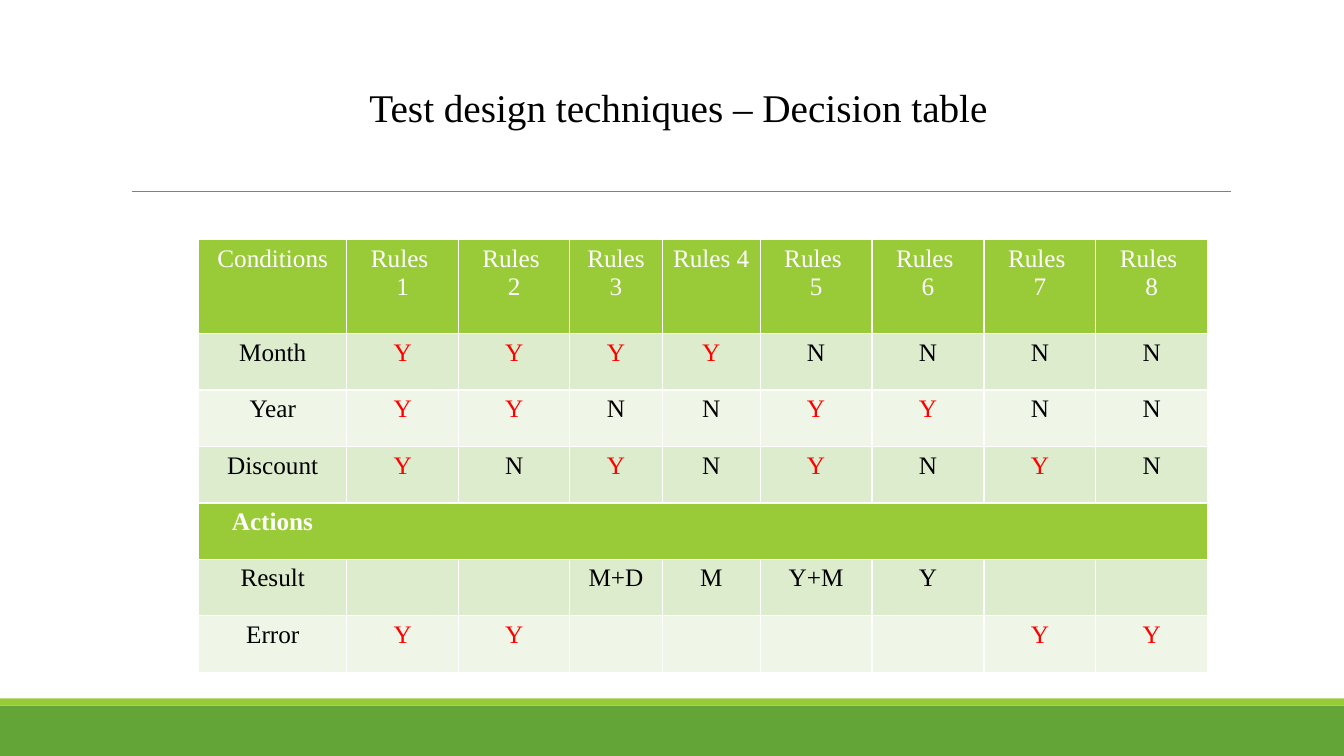
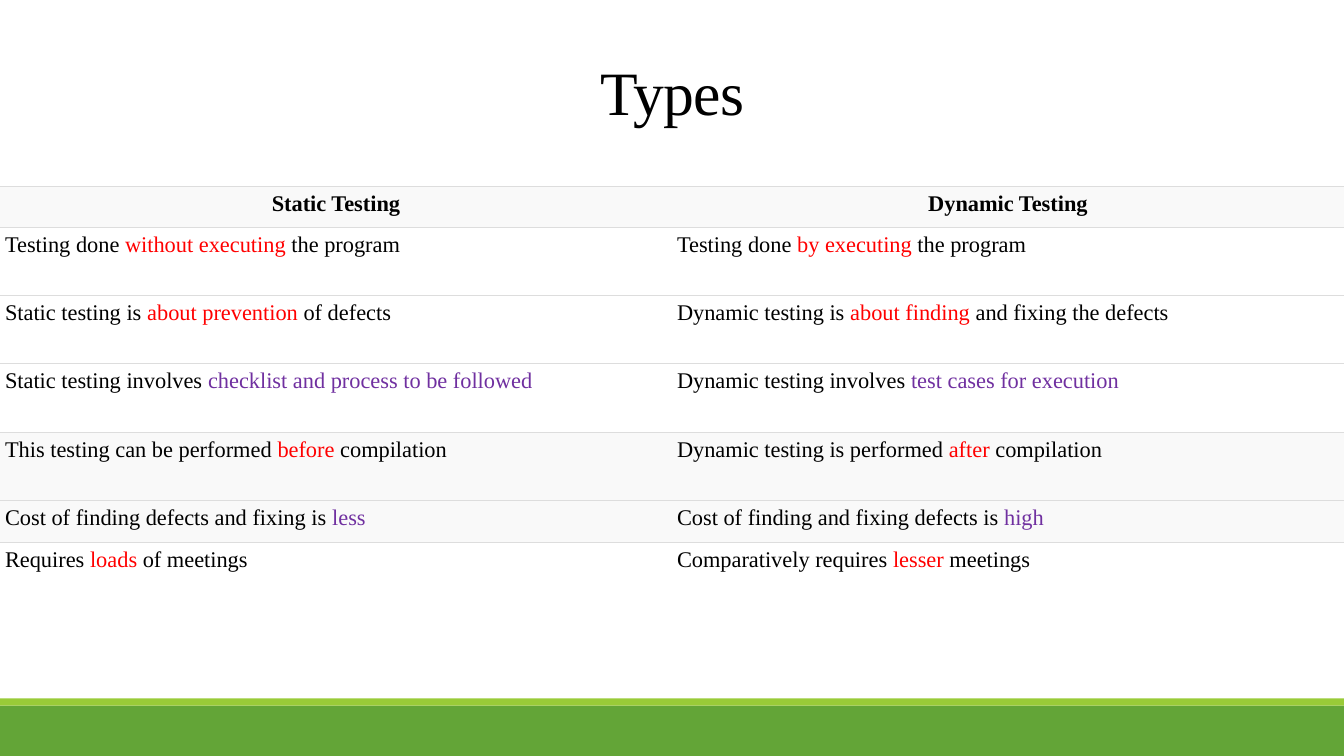
from dataclasses import dataclass

from lxml import etree
from pptx import Presentation
from pptx import util as u
from pptx.dml.color import RGBColor
from pptx.enum import shapes, text
from pptx.oxml import ns


@dataclass(frozen=True)
class Theme:
    font: str = "Times New Roman"
    ink: str = "000000"
    paper: str = "FFFFFF"
    red: str = "FF0000"
    purple: str = "7030A0"
    green: str = "63A537"
    lime: str = "99CB38"
    band_dark: str = "DEECCE"
    band_light: str = "EFF6E8"
    stripe: str = "F9F9F9"
    rule: str = "808080"
    border: str = "DDDDDD"
    title_size: int = 28
    large_title_size: int = 44
    rules_size: int = 18
    types_size: int = 16


THEME = Theme()
WIDTH, HEIGHT = 13.33, 7.5
CENTER = text.PP_ALIGN.CENTER


# Shared helpers
def inches(*lengths):
    return [u.Inches(length) for length in lengths]


def apply(target, values):
    for name, value in values.items():
        setattr(target, name, value)


def write(paragraph, words, size, color, bold=False):
    run = paragraph.add_run()
    run.text = words
    apply(run.font, {"name": THEME.font, "size": u.Pt(size), "bold": bold})
    run.font.color.rgb = RGBColor.from_string(color)
    return run


def set_borders(cell, borders):
    """Draw sides L, R, T, B; a side mapped to None gets no line."""
    properties = cell._tc.get_or_add_tcPr()
    for place, (side, style) in enumerate(borders.items()):
        color, points = style or (None, 0)
        line = etree.Element(ns.qn(f"a:ln{side}"), w=str(u.Pt(points)))
        if color:
            fill = etree.SubElement(line, ns.qn("a:solidFill"))
            etree.SubElement(fill, ns.qn("a:srgbClr"), val=color)
        else:
            etree.SubElement(line, ns.qn("a:noFill"))
        properties.insert(place, line)


def paint(cell, color):
    cell.fill.solid()
    cell.fill.fore_color.rgb = RGBColor.from_string(color)


def add_grid(slide, box, columns, rows):
    """Share the box out among column and row weights."""
    left, top, width, height = box
    table = slide.shapes.add_table(len(rows), len(columns), *inches(*box)).table
    apply(table, {"first_row": False, "horz_banding": False})
    for column, weight in zip(table.columns, columns):
        column.width = u.Inches(width * weight / sum(columns))
    for row, weight in zip(table.rows, rows):
        row.height = u.Inches(height * weight / sum(rows))
    return table


# Slide frame: footer bands and the rule under the title
def add_band(slide, box, color):
    band = slide.shapes.add_shape(shapes.MSO_SHAPE.RECTANGLE, *inches(*box))
    band.shadow.inherit = False
    band.fill.solid()
    band.fill.fore_color.rgb = RGBColor.from_string(color)
    band.line.fill.background()


def add_frame(slide):
    add_band(slide, (0, 7, WIDTH, 0.5), THEME.green)
    add_band(slide, (0, 6.93, WIDTH, 0.07), THEME.lime)
    rule = slide.shapes.add_connector(
        shapes.MSO_CONNECTOR.STRAIGHT, *inches(1.31, 1.9, 12.21, 1.9))
    rule.line.color.rgb = RGBColor.from_string(THEME.rule)
    rule.line.width = u.Pt(0.5)
    etree.SubElement(rule._element.spPr, ns.qn("a:effectLst"))


def add_title(slide, box, words, size, spacing=0):
    frame = slide.shapes.add_textbox(*inches(*box)).text_frame
    apply(frame, {"word_wrap": True,
                  "vertical_anchor": text.MSO_ANCHOR.MIDDLE})
    paragraph = frame.paragraphs[0]
    apply(paragraph, {"alignment": CENTER, "line_spacing": 0.9})
    run = write(paragraph, words, size, THEME.ink)
    if spacing:
        run.font._element.set("spc", str(int(spacing * 100)))


# Decision table
RULE_COLUMNS = [1.47, 1.11, 1.1, 0.92, 0.97, 1.11, 1.11, 1.11, 1.11]
RULE_ROWS = [0.93] + [0.56] * 6
RULE_HEADS = ["Conditions", "Rules \n1", "Rules \n2", "Rules 3", "Rules 4",
              "Rules \n5", "Rules \n6", "Rules \n7", "Rules \n8"]
DECISIONS = [
    ["Month", *"YYYYNNNN"],
    ["Year", *"YYNNYYNN"],
    ["Discount", *"YNYNYNYN"],
    ["Actions"] + [""] * 8,
    ["Result", "", "", "M+D", "M", "Y+M", "Y", "", ""],
    ["Error", "Y", "Y", "", "", "", "", "Y", "Y"],
]


def add_decision_table(slide, box):
    table = add_grid(slide, box, RULE_COLUMNS, RULE_ROWS)
    fills = [THEME.lime, THEME.band_dark, THEME.band_light, THEME.band_dark,
             THEME.lime, THEME.band_dark, THEME.band_light]
    for r, (entries, fill) in enumerate(zip([RULE_HEADS] + DECISIONS, fills)):
        is_section = entries[0] == "Actions"
        for c, entry in enumerate(entries):
            cell = table.cell(r, c)
            paint(cell, fill)
            set_borders(cell, dict.fromkeys("LRTB", (THEME.paper, 1)))
            if fill == THEME.lime:
                color = THEME.paper
            elif entry == "Y" and entries[0] != "Result":
                color = THEME.red
            else:
                color = THEME.ink
            for i, words in enumerate(entry.split("\n") if entry else []):
                frame = cell.text_frame
                paragraph = frame.add_paragraph() if i else frame.paragraphs[0]
                paragraph.alignment = text.PP_ALIGN.LEFT if is_section else CENTER
                write(paragraph, words, THEME.rules_size, color, is_section)
        if is_section:
            table.cell(r, 0).merge(table.cell(r, len(entries) - 1))
            table.cell(r, 0).margin_left = u.Inches(0.33)


# Comparison of testing types: each cell is before, highlight, after
TYPE_ROWS = [0.41, 0.67, 0.68, 0.68, 0.68, 0.41, 0.41]
TYPE_HEADS = ["Static Testing", "Dynamic Testing"]
COMPARISONS = [
    (THEME.red, ("Testing done ", "without executing", " the program"),
     ("Testing done ", "by executing", " the program")),
    (THEME.red, ("Static testing is ", "about prevention ", "of defects"),
     ("Dynamic testing is ", "about finding", " and fixing the defects")),
    (THEME.purple,
     ("Static testing involves ", "checklist and process to be followed"),
     ("Dynamic testing involves ", "test cases for execution")),
    (THEME.red, ("This testing can be performed ", "before", " compilation"),
     ("Dynamic testing is performed ", "after ", "compilation")),
    (THEME.purple, ("Cost of finding defects and fixing is ", "less"),
     ("Cost of finding and fixing defects is ", "high")),
    (THEME.red, ("Requires ", "loads", " of meetings"),
     ("Comparatively requires ", "lesser", " meetings")),
]


def add_types_table(slide, box):
    table = add_grid(slide, box, [1, 1], TYPE_ROWS)
    striped_rows = {0, 4, 5}
    last = len(TYPE_ROWS) - 1
    margins = dict.fromkeys(
        ["margin_left", "margin_top", "margin_right", "margin_bottom"],
        u.Inches(0.05))
    line = (THEME.border, 0.75)
    for r in range(len(TYPE_ROWS)):
        for c, head in enumerate(TYPE_HEADS):
            cell = table.cell(r, c)
            apply(cell, margins)
            paint(cell, THEME.stripe if r in striped_rows else THEME.paper)
            set_borders(cell, {"L": None, "R": None, "T": line,
                               "B": None if r == last else line})
            paragraph = cell.text_frame.paragraphs[0]
            if r == 0:
                paragraph.alignment = CENTER
                write(paragraph, head, THEME.types_size, THEME.ink, True)
                continue
            accent, *sides = COMPARISONS[r - 1]
            for words, color in zip(sides[c], (THEME.ink, accent, THEME.ink)):
                write(paragraph, words, THEME.types_size, color)


# Slides
def build_decision_slide(slide):
    add_title(slide, (2.95, 0.62, 7.56, 0.94),
              "Test design techniques – Decision table", THEME.title_size)
    add_decision_table(slide, (1.97, 2.38, 10.01, 4.29))


def build_types_slide(slide):
    add_types_table(slide, (0, 1.85, WIDTH, 3.94))
    add_title(slide, (0.92, 0.62, 11.5, 0.66), "Types",
              THEME.large_title_size, spacing=-0.5)


def main():
    deck = Presentation()
    deck.slide_width, deck.slide_height = inches(WIDTH, HEIGHT)
    for build in (build_decision_slide, build_types_slide):
        slide = deck.slides.add_slide(deck.slide_layouts[6])
        add_frame(slide)
        build(slide)
    deck.save("out.pptx")


if __name__ == "__main__":
    main()
